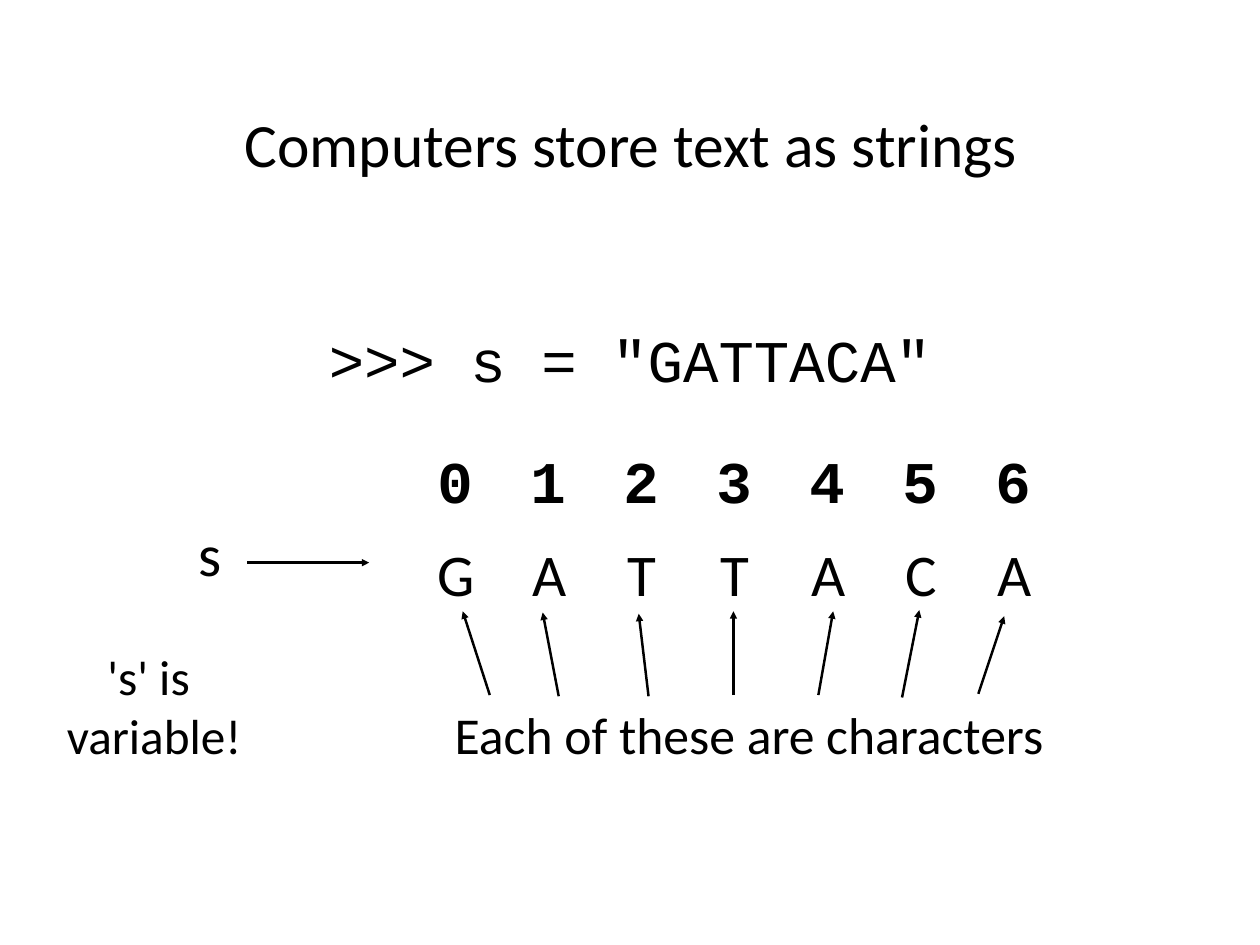
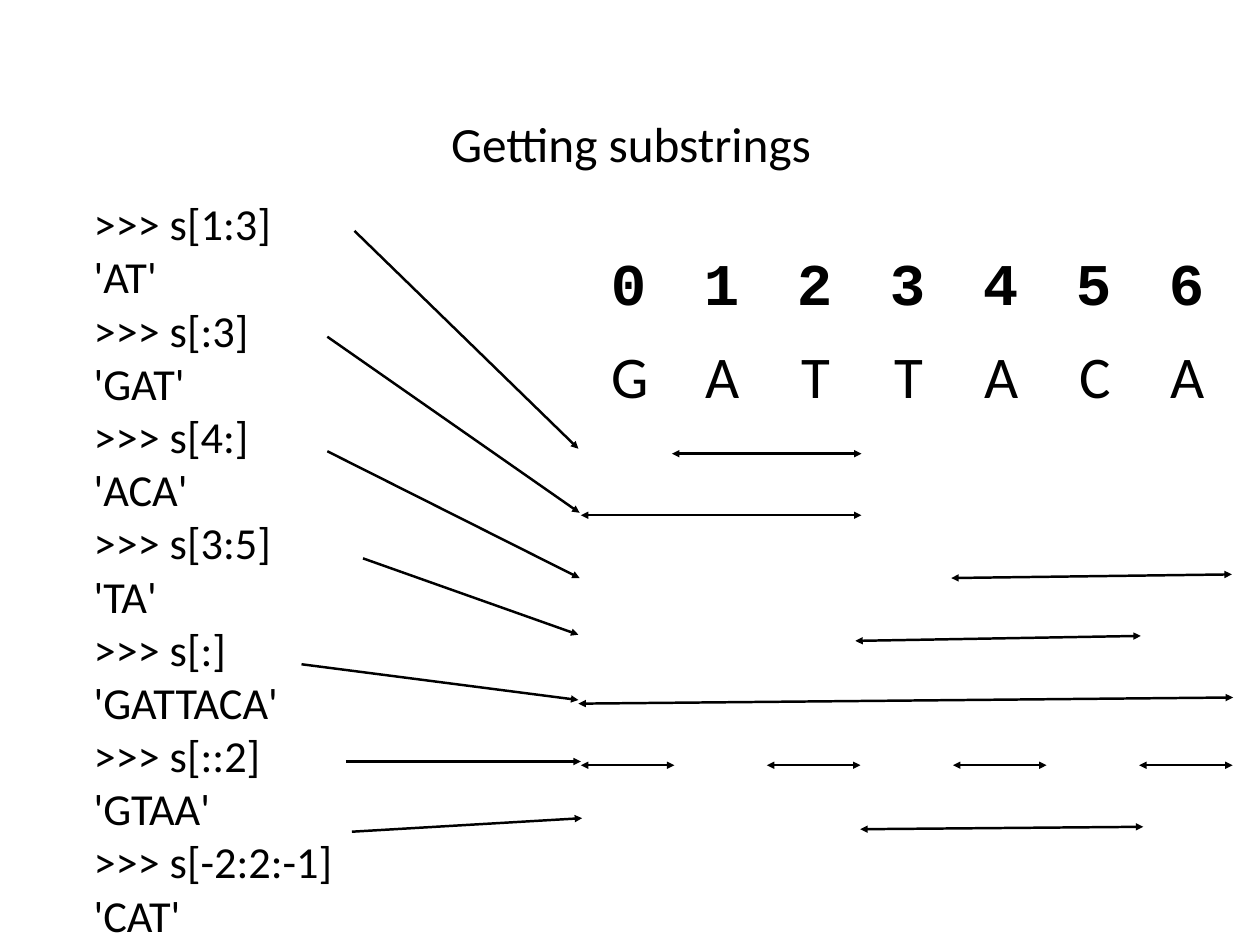
import pptx
import pptx.dml.color
import pptx.enum.shapes
import pptx.enum.text
import pptx.oxml.ns
import pptx.util
import lxml.etree

Pt = pptx.util.Pt
qn = pptx.oxml.ns.qn
ALIGN = pptx.enum.text.PP_ALIGN
ANCHOR = pptx.enum.text.MSO_ANCHOR

INK = "000000"
SANS = "Calibri"
MONO = "Courier New"
SEQUENCE = "GATTACA"
COL_W = 75.6
NO_GRID = "{2D5ABB26-0587-4C30-8999-92F81FD0307C}"

TITLE_X, TITLE_W = 101, 823.7
PADDING = (7.2, 3.6)

CHARACTER_ARROWS = [
    (398, 564, 376, 496),
    (454, 565, 441, 497),
    (527, 565, 519, 498),
    (596, 564, 596, 496),
    (665, 564, 677, 496),
    (733, 566, 747, 495),
    (795, 563, 816, 500),
]

SUBSTRINGS = [
    ("s[1:3]", "'AT'", (212, 28, 394, 205), [(73, 199, 227, 199)]),
    ("s[:3]", "'GAT'", (190, 114, 395, 257), [(-1, 249, 227, 249)]),
    ("s[4:]", "'ACA'", (190, 207, 395, 310), [(300, 300, 528, 297)]),
    ("s[3:5]", "'TA'", (219, 294, 394, 356), [(222, 351, 454, 347)]),
    ("s[:]", "'GATTACA'", (169, 380, 394, 409), [(-3, 402, 529, 397)]),
    ("s[::2]", "'GTAA'", (205, 459, 396, 459),
     [(-1 + 2 * i * COL_W, 452, 75 + 2 * i * COL_W, 452) for i in range(4)]),
    ("s[-2:2:-1]", "'CAT'", (210, 516, 397, 505), [(226, 504, 456, 502)]),
]


def rgb(value):
    return pptx.dml.color.RGBColor.from_string(value)


def apply(obj, values):
    for name, value in values.items():
        setattr(obj, name, value)


def write(p, text, size, font=SANS, bold=False, **paragraph):
    r = p.add_run()
    r.text = text
    apply(r.font, {"size": Pt(size), "name": font, "bold": bold})
    r.font.color.rgb = rgb(INK)
    apply(p, paragraph)


def add_text(slide, box, lines, size, font=SANS, align=ALIGN.CENTER,
             anchor=ANCHOR.TOP, wrap=False, padding=(0, 0), after=0):
    sp = slide.shapes.add_textbox(*[Pt(v) for v in box])
    tf = sp.text_frame
    dx, dy = [Pt(v) for v in padding]
    apply(tf, {"word_wrap": wrap, "vertical_anchor": anchor,
               "margin_left": dx, "margin_right": dx,
               "margin_top": dy, "margin_bottom": dy})
    for i, line in enumerate(lines):
        p = tf.add_paragraph() if i else tf.paragraphs[0]
        write(p, line, size, font, alignment=align, space_after=Pt(after))


def add_title(slide, text, size, y, height):
    add_text(slide, (TITLE_X, y, TITLE_W, height), [text], size,
             anchor=ANCHOR.MIDDLE, wrap=True, padding=PADDING, after=2)


def add_arrow(slide, ends, x=0, y=0, double=False):
    x1, y1, x2, y2 = ends
    sp = slide.shapes.add_connector(
        pptx.enum.shapes.MSO_CONNECTOR.STRAIGHT,
        Pt(x + x1), Pt(y + y1), Pt(x + x2), Pt(y + y2))
    sp.line.width = Pt(2)
    sp.line.color.rgb = rgb(INK)
    ln = sp.line._get_or_add_ln()
    for tag in ["a:headEnd", "a:tailEnd"] if double else ["a:tailEnd"]:
        lxml.etree.SubElement(ln, qn(tag)).set("type", "triangle")
    lxml.etree.SubElement(ln.getparent(), qn("a:effectLst"))


def add_grid(slide, x, y, row_height, rows=1):
    columns = len(SEQUENCE)
    gf = slide.shapes.add_table(rows, columns, Pt(x), Pt(y),
                                Pt(COL_W * columns), Pt(row_height * rows))
    for style in gf.element.iter(qn("a:tableStyleId")):
        style.text = NO_GRID
    table = gf.table
    apply(table, {"first_row": False, "horz_banding": False})
    for column in table.columns:
        column.width = Pt(COL_W)
    for cell in table.iter_cells():
        cell.fill.background()
        cell.vertical_anchor = ANCHOR.MIDDLE
    return table


def add_row(slide, x, y, height, texts, font, bold, spacing):
    table = add_grid(slide, x, y, height)
    for cell, text in zip(table.iter_cells(), texts):
        write(cell.text_frame.paragraphs[0], text, 48, font, bold,
              alignment=ALIGN.CENTER, line_spacing=spacing)


def add_indexed_sequence(slide, x, y):
    indexes = [str(i) for i in range(len(SEQUENCE))]
    add_row(slide, x + 1, y + 94.5, 90, SEQUENCE, SANS, False, 0.85)
    add_row(slide, x, y, 137, indexes, MONO, True, 0.62)


def add_substring_list(slide, x, y):
    lines = []
    for code, result, pointer, spans in SUBSTRINGS:
        lines += [">>> " + code, result]
        add_arrow(slide, pointer, x, y)
    add_text(slide, (x, y, 406, 648), lines + [">>>"], 36,
             align=ALIGN.LEFT, wrap=True)


def add_substring_spans(slide, x, y):
    for code, result, pointer, spans in SUBSTRINGS:
        for span in spans:
            add_arrow(slide, span, x, y, double=True)


def strings_slide(slide):
    add_title(slide, "Computers store text as strings", 50, 11.5, 208.8)
    add_indexed_sequence(slide, 332, 330)
    add_text(slide, (267, 263, 490, 58), ['>>> s = "GATTACA"'], 48, MONO)
    add_text(slide, (160, 420.5, 22, 58), ["s"], 48)
    add_arrow(slide, (201, 457, 300, 457))
    add_text(slide, (330.5, 570.5, 556.5, 50),
             ["Each of these are characters"], 42)
    for ends in CHARACTER_ARROWS:
        add_arrow(slide, ends, y=0.5)
    add_text(slide, (29.5, 521.5, 191.5, 103), ["'s' is ", "variable!"], 40,
             padding=PADDING)


def substrings_slide(slide):
    add_grid(slide, 473, 342, 85.7, rows=len(SUBSTRINGS))
    add_title(slide, "Getting substrings", 40, 20, 192.2)
    add_indexed_sequence(slide, 473, 169.5)
    add_substring_list(slide, 76, 159.5)
    add_substring_spans(slide, 473, 169.5)


def main():
    prs = pptx.Presentation()
    apply(prs, {"slide_width": Pt(1023.84), "slide_height": Pt(767.52)})
    for build in [strings_slide, substrings_slide]:
        build(prs.slides.add_slide(prs.slide_layouts[6]))
    prs.save("out.pptx")


if __name__ == "__main__":
    main()
